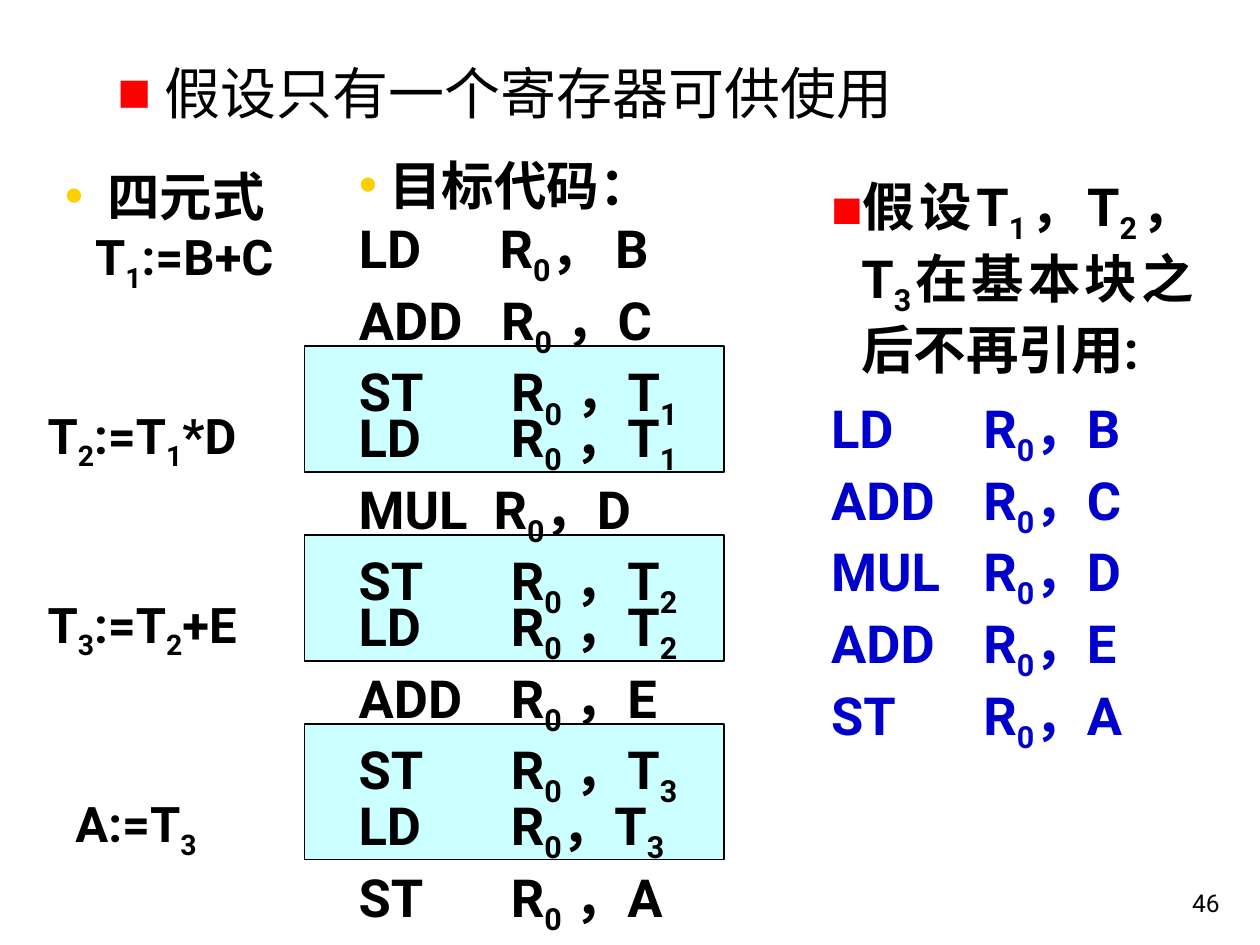
from lxml import etree
from pptx import Presentation
from pptx import util as u
from pptx.dml.color import RGBColor
from pptx.enum import shapes, text
from pptx.oxml import ns

BLACK = RGBColor(0, 0, 0)
RED = RGBColor(0xFF, 0, 0)
GOLD = RGBColor(0xFF, 0xCF, 0x01)
BLUE = RGBColor(0, 0, 0xCC)
CYAN = RGBColor(0xCC, 0xFF, 0xFF)
FONT = "Roboto"
JUSTIFY = text.PP_ALIGN.JUSTIFY
REGISTER_STOP = 3.07  # tab distance of the register operand, in cm


def place(shape, left, top, width, height):
    shape.left, shape.top = u.Cm(left), u.Cm(top)
    shape.width, shape.height = u.Cm(width), u.Cm(height)
    return shape


def open_frame(shape, anchor=text.MSO_ANCHOR.TOP):
    frame = shape.text_frame
    frame.word_wrap = True
    frame.auto_size = text.MSO_AUTO_SIZE.NONE
    frame.vertical_anchor = anchor
    return frame


def add_frame(page, *box):
    left, top, width, height = map(u.Cm, box)
    return open_frame(page.shapes.add_textbox(left, top, width, height))


def add_spans(para, wording, size=None):
    """Write wording; the digit after each "_" is a subscript."""
    def add(piece, lowered=False):
        if piece:
            span = para.add_run()
            span.text = piece
            if size:
                span.font.size = u.Pt(size)
            if lowered:
                span.font._element.set("baseline", "-25000")

    first, *rest = wording.split("_")
    add(first)
    for piece in rest:
        add(piece[:1], lowered=True)
        add(piece[1:])


def add_para(frame, wording, size=30, color=BLACK, bold=True, align=JUSTIFY,
             bullet=None, bullet_color=RED, hang=0.61, stop=None):
    para = frame.paragraphs[0]
    if para.runs:
        para = frame.add_paragraph()
    para.alignment = align
    para.space_before = u.Pt(0)
    props = para._p.get_or_add_pPr()
    indent = u.Cm(hang) if bullet else 0
    props.set("marL", str(indent))
    props.set("indent", str(-indent))
    if stop:
        props.set("defTabSz", str(u.Cm(stop)))
    if bullet:
        tint = etree.SubElement(props, ns.qn("a:buClr"))
        etree.SubElement(tint, ns.qn("a:srgbClr"), val=str(bullet_color))
        etree.SubElement(props, ns.qn("a:buFont"), typeface="Arial")
        etree.SubElement(props, ns.qn("a:buChar"), char=bullet)
    else:
        etree.SubElement(props, ns.qn("a:buNone"))
    font = para.font
    font.name, font.size, font.bold = FONT, u.Pt(size), bold
    font.color.rgb = color
    add_spans(para, wording)
    return para


def add_code(frame, lines, color=BLACK):
    for operation, operands, *stop in lines:
        add_para(frame, f"{operation}\t{operands}", color=color,
                 stop=stop[0] if stop else REGISTER_STOP)


def build_heading(title, left, top, width, height):
    place(title, left, top, width, height)
    add_para(open_frame(title), "假设只有一个寄存器可供使用", size=32,
             bold=False, bullet="■", hang=0.95)


def build_quadruples(page, left, top):
    para = add_para(add_frame(page, left + 0.35, top, 5.08, 2.79), " 四元式",
                    align=text.PP_ALIGN.LEFT, bullet="•", bullet_color=GOLD)
    add_spans(para, "T_1:=B+C", size=28)
    for wording, dx, dy in (("T_2:=T_1*D", 0, 4.87),
                            ("T_3:=T_2+E", 0, 8.68),
                            ("A:=T_3", 0.56, 12.7)):
        frame = add_frame(page, left + dx, top + dy, 5.44 - dx, 1.45)
        add_para(frame, wording, size=28, align=text.PP_ALIGN.LEFT)


def build_target_code(page, body, left, top):
    # Highlights behind the redundant store and load pairs
    for dy, height in ((4.01, 2.54), (7.82, 2.54), (11.63, 2.74)):
        box = page.shapes.add_shape(shapes.MSO_SHAPE.RECTANGLE, 0, 0, 0, 0)
        place(box, left - 0.84, top + dy, 8.46, height)
        box.shadow.inherit = False
        box.fill.solid()
        box.fill.fore_color.rgb = CYAN
        box.line.color.rgb = BLACK
        box.line.width = u.Pt(1)
        page.shapes[0].element.addprevious(box.element)

    # First group, under its caption
    frame = open_frame(place(body, left, top, 8.46, 5.92))
    add_para(frame, "目标代码：", bullet="•", bullet_color=GOLD)
    add_code(frame, [("LD", "R_0， B", 2.84), ("ADD", "R_0 ，C", 2.87),
                     ("ST", "R_0 ，T_1")])

    # Following groups, one for each quadruple
    groups = (
        (5.08, [("LD", "R_0 ，T_1"), ("MUL", "R_0，D", 2.72),
                ("ST", "R_0 ，T_2")]),
        (8.89, [("LD", "R_0 ，T_2"), ("ADD", "R_0 ，E"),
                ("ST", "R_0 ，T_3")]),
        (12.9, [("LD", "R_0，T_3"), ("ST", "R_0 ，A")]),
    )
    for dy, lines in groups:
        add_code(add_frame(page, left, top + dy, 8.46, 4), lines)


def build_short_code(body, left, top, width, height):
    frame = open_frame(place(body, left, top, width, height))
    para = add_para(frame, "假设T_1，T_2，T_3在基本块之后不再引用:",
                    bullet="■")
    para.space_after = u.Pt(9)
    add_code(frame, [("LD", "R_0，B"), ("ADD", "R_0，C"), ("MUL", "R_0，D"),
                     ("ADD", "R_0，E"), ("ST", "R_0，A")], BLUE)


def build_page_number(page, *box):
    frame = add_frame(page, *box)
    frame.vertical_anchor = text.MSO_ANCHOR.BOTTOM
    add_para(frame, "46", size=14, bold=False, align=text.PP_ALIGN.RIGHT)


def main():
    deck = Presentation()
    deck.slide_width, deck.slide_height = u.Cm(25.4), u.Cm(19.05)
    page = deck.slides.add_slide(deck.slide_layouts[3])  # title, two bodies
    title, middle, right = page.placeholders
    build_heading(title, 2.11, 1.06, 20.96, 1.9)
    build_quadruples(page, 0.71, 3.18)
    build_target_code(page, middle, 6.98, 2.96)
    build_short_code(right, 16.5, 3.38, 7.82, 13.13)
    build_page_number(page, 19.56, 17.35, 5.28, 1.27)
    deck.save("out.pptx")


if __name__ == "__main__":
    main()
